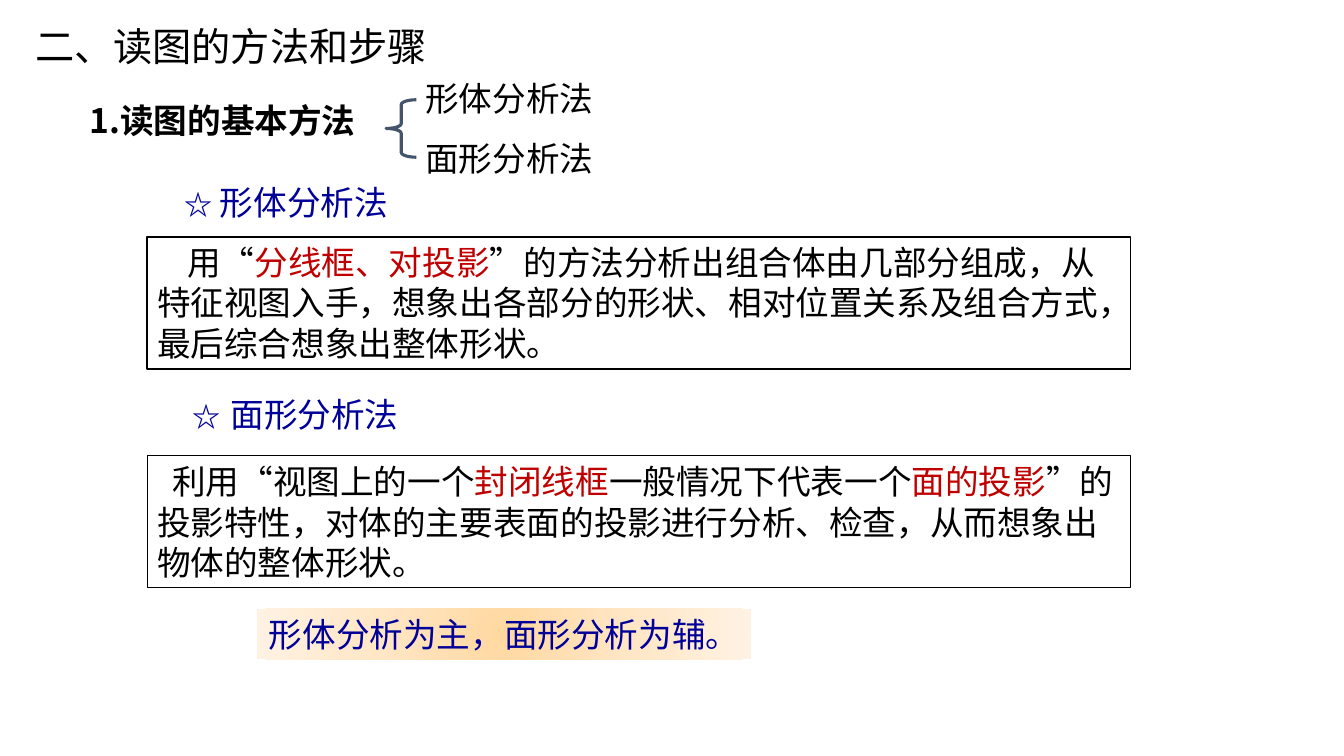
from lxml import etree
from pptx import Presentation
from pptx.dml.color import RGBColor
from pptx.enum.shapes import MSO_SHAPE as Preset
from pptx.enum.text import MSO_ANCHOR as Anchor, MSO_AUTO_SIZE as AutoSize, PP_ALIGN as Align
from pptx.oxml import parse_xml
from pptx.oxml.ns import nsdecls, qn
from pptx.util import Inches, Pt

FONT = "Noto Sans CJK SC"
BLACK, RED, NAVY, SLATE = "000000", "C00000", "000099", "44546A"


def rgb(value):
    return RGBColor.from_string(value)


def write(box, runs, color=BLACK, size=24, bold=False, anchor=Anchor.TOP,
          align=Align.LEFT, wrap=True, indent=0):
    """Fill a box with one paragraph; each run is (text, own format)."""
    frame = box.text_frame
    frame.word_wrap = wrap
    frame.auto_size = AutoSize.SHAPE_TO_FIT_TEXT
    frame.vertical_anchor = anchor
    para = frame.paragraphs[0]
    para.alignment = align
    if indent:
        props = para._p.get_or_add_pPr()
        props.set("marL", "0")
        props.set("indent", str(Inches(indent)))
    for text, own in runs:
        span = para.add_run()
        span.text = text
        span.font.name = FONT
        span.font.size = Pt(own.get("size", size))
        span.font.bold = own.get("bold", bold)
        span.font.color.rgb = rgb(own.get("color", color))
        etree.SubElement(span._r.get_or_add_rPr(), qn("a:ea")).set("typeface", FONT)


deck = Presentation()
deck.slide_width, deck.slide_height = Inches(13.33), Inches(7.5)
page = deck.slides.add_slide(deck.slide_layouts[6])
shapes = page.shapes

# Headings, the two methods and their starred subheadings
star = ("☆", {"size": 20, "bold": True})
labels = [
    (0.25, 0.17, 5.67, 0.57, [("二、读图的方法和步骤", {})], {"size": 28}),
    (0.79, 0.94, 4.46, 0.5, [("1.读图的基本方法", {})],
     {"bold": True, "anchor": Anchor.MIDDLE}),
    (4.12, 0.72, 1.89, 0.51, [("形体分析法", {})],
     {"anchor": Anchor.MIDDLE, "wrap": False}),
    (4.12, 1.31, 1.89, 0.51, [("面形分析法", {})],
     {"anchor": Anchor.MIDDLE, "wrap": False}),
    (1.73, 1.76, 3.36, 0.5, [star, (" 形体分析法", {})], {"color": NAVY}),
    (1.81, 3.75, 3.65, 0.63, [star, (" ", {"size": 32}), ("面形分析法", {})],
     {"color": NAVY}),
]
for left, top, width, height, runs, style in labels:
    label = shapes.add_textbox(Inches(left), Inches(top), Inches(width), Inches(height))
    write(label, runs, **style)

brace = shapes.add_shape(Preset.LEFT_BRACE, Inches(3.83), Inches(0.99),
                         Inches(0.3), Inches(0.57))
brace.shadow.inherit = False
brace.adjustments[0], brace.adjustments[1] = 0.16, 0.5
brace.fill.background()
brace.line.color.rgb = rgb(SLATE)
brace.line.width = Pt(2.25)

# Framed explanations
red = {"color": RED}
explanations = [
    (2.35, 1, Anchor.TOP, 0.3, [
        ("用“", {}), ("分线框、对投影", red),
        ("”的方法分析出组合体由几部分组成，从特征视图入手，想象出各部分的形状、"
         "相对位置关系及组合方式，最后综合想象出整体形状。", {})]),
    (4.52, 0.75, Anchor.MIDDLE, 0.15, [
        ("利用“视图上的一个", {}), ("封闭线框", red), ("一般情况下代表一个", {}),
        ("面的投影", red),
        ("”的投影特性，对体的主要表面的投影进行分析、检查，从而想象出物体的整体形状。", {})]),
]
for top, weight, anchor, indent, runs in explanations:
    panel = shapes.add_shape(Preset.RECTANGLE, Inches(1.46), Inches(top),
                             Inches(9.75), Inches(1.31))
    panel.shadow.inherit = False
    panel.fill.background()
    panel.line.color.rgb = rgb(BLACK)
    panel.line.width = Pt(weight)
    write(panel, runs, anchor=anchor, indent=indent)

# Conclusion on a glow that fades outwards
conclusion = shapes.add_shape(Preset.RECTANGLE, Inches(2.55), Inches(6.04),
                              Inches(4.9), Inches(0.5))
conclusion.shadow.inherit = False
conclusion.line.fill.background()
conclusion.fill.background()
stops = "".join(
    f'<a:gs pos="{percent * 1000}"><a:srgbClr val="{color}"/></a:gs>'
    for percent, color in [(0, "FFD8A0"), (50, "FFE6C5"), (100, "FFF2E3")])
glow = parse_xml(
    f'<a:gradFill {nsdecls("a")} rotWithShape="1"><a:gsLst>{stops}</a:gsLst>'
    '<a:path path="circle"><a:fillToRect l="50000" t="50000" r="50000" b="50000"/></a:path>'
    '</a:gradFill>')
props = conclusion._element.spPr
props.replace(props.find(qn("a:noFill")), glow)
write(conclusion, [("形体分析为主，面形分析为辅。", {})], color=NAVY, align=Align.CENTER)

deck.save("out.pptx")
